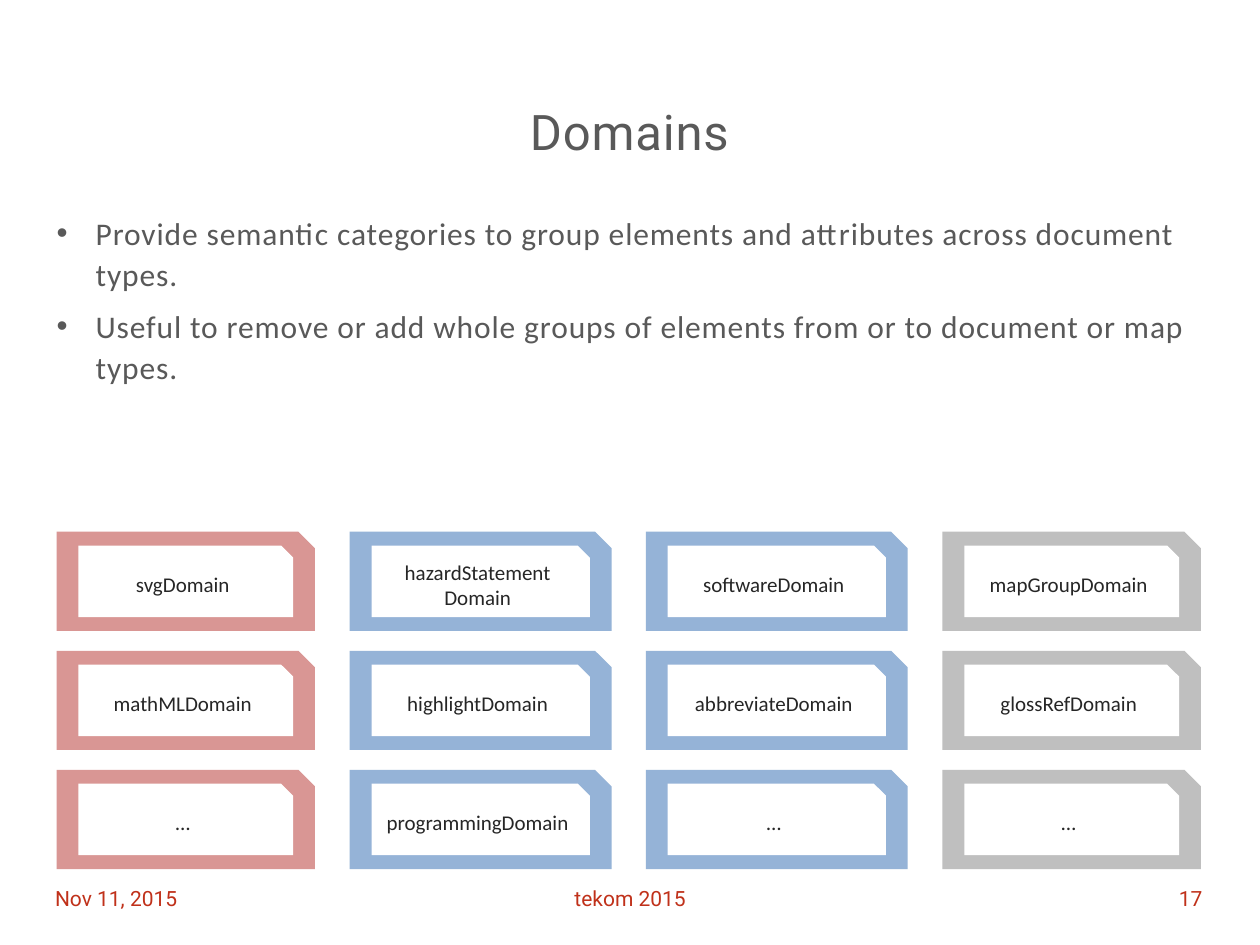
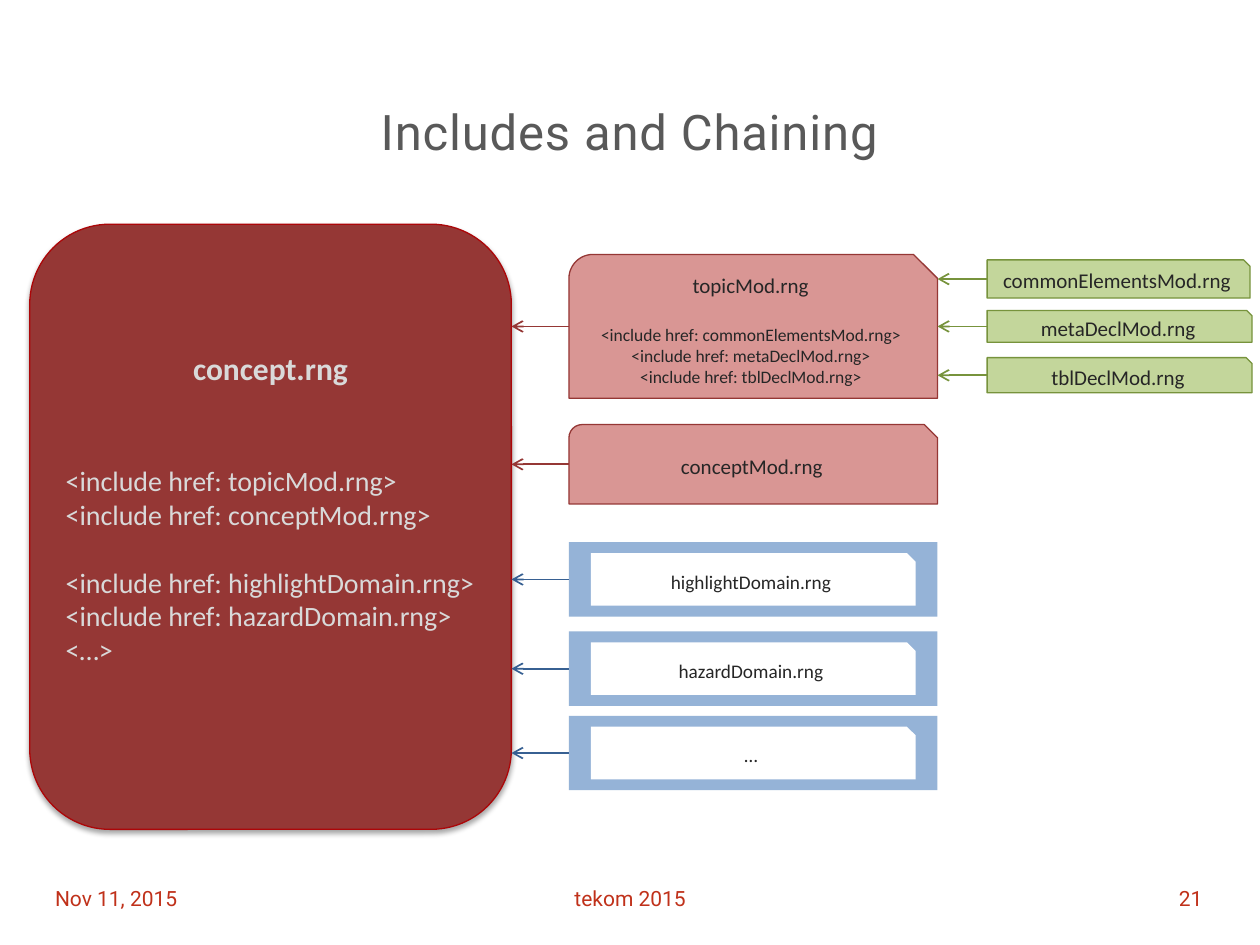
import pptx
import pptx.dml.color
import pptx.enum.shapes
import pptx.enum.text
import pptx.oxml
import pptx.oxml.ns
import pptx.util
from lxml import etree

Cm = pptx.util.Cm
Pt = pptx.util.Pt
SHAPE = pptx.enum.shapes.MSO_SHAPE
ALIGN = pptx.enum.text.PP_ALIGN
ANCHOR = pptx.enum.text.MSO_ANCHOR
qn = pptx.oxml.ns.qn

HEADING_FONT, BODY_FONT = "Roboto", "Calibri"
FOOTER_RED, GREY_TEXT, DARK_TEXT, PALE_TEXT = "C0311A", "595959", "262626", "D9D9D9"
WHITE, GREY, ROSE, BLUE, GREEN = "FFFFFF", "BFBFBF", "D99694", "95B3D7", "C3D69B"
DARK_RED, HUB_LINE, DARK_BLUE, DARK_GREEN = "953735", "AC0608", "376092", "77933C"


def rgb(color):
    return pptx.dml.color.RGBColor.from_string(color)


def write(sp, lines, size, color, font=BODY_FONT, align=ALIGN.CENTER, spacing=None):
    tf = sp.text_frame
    tf.word_wrap = True
    tf.text = "\n".join(lines)
    for p in tf.paragraphs:
        p.alignment = align
        for r in p.runs:
            r.font.name = font
            r.font.size = Pt(size)
            r.font.color.rgb = rgb(color)
            if spacing:
                r._r.get_or_add_rPr().set("spc", str(spacing))
    return tf


def add_text(s, box, lines, *style, **options):
    return write(s.shapes.add_textbox(*map(Cm, box)), lines, *style, **options)


def add_block(s, kind, box, fill, line=None):
    sp = s.shapes.add_shape(kind, *map(Cm, box))
    sp.shadow.inherit = False
    sp.fill.solid()
    sp.fill.fore_color.rgb = rgb(fill)
    if line:
        sp.line.color.rgb = rgb(line)
        sp.line.width = Pt(0.75)
    else:
        sp.line.fill.background()
    sp.text_frame.vertical_anchor = ANCHOR.MIDDLE
    return sp


def add_frame(s, kind, box, fill, label, size, margin):
    x, y, w, h = box
    dx, dy = margin
    outer = add_block(s, kind, box, fill)
    inner = add_block(s, SHAPE.SNIP_1_RECTANGLE,
                      (x + dx, y + dy, w - 2 * dx, h - 2 * dy), WHITE)
    write(inner, [label], size, DARK_TEXT)
    return outer


def add_arrow(s, source, target, color):
    y = source.top + source.height // 2
    edge = target.left + target.width
    cx = s.shapes.add_connector(pptx.enum.shapes.MSO_CONNECTOR.STRAIGHT,
                                source.left, y, edge, y)
    cx.begin_connect(source, 1)
    if abs(y - target.top - target.height // 2) < Cm(0.01):
        cx.end_connect(target, 3)
    cx.line.color.rgb = rgb(color)
    cx.line.width = Pt(1)
    etree.SubElement(cx.line._get_or_add_ln(), qn("a:tailEnd"), type="arrow")
    etree.SubElement(cx._element.spPr, qn("a:effectLst"))


def add_soft_shadow(sp):
    effects = sp._element.spPr.find(qn("a:effectLst"))
    shadow = etree.SubElement(effects, qn("a:outerShdw"), blurRad=str(Pt(3.1)),
                              dist=str(Pt(1.8)), dir="5400000", rotWithShape="0")
    color = etree.SubElement(shadow, qn("a:srgbClr"), val="000000")
    etree.SubElement(color, qn("a:alpha"), val="35000")


def new_slide(prs, title, number):
    s = prs.slides.add_slide(prs.slide_layouts[6])
    add_text(s, (0.89, 1.93, 23.6, 1.19), [title], 28, GREY_TEXT, HEADING_FONT, spacing=50)
    for x, w, text, align in (
        (0.86, 5.92, "Nov 11, 2015", ALIGN.LEFT),
        (8.97, 7.47, "tekom 2015", ALIGN.CENTER),
        (18.57, 5.92, str(number), ALIGN.RIGHT),
    ):
        tf = add_text(s, (x, 17.6, w, 1.02), [text], 12, FOOTER_RED, HEADING_FONT, align)
        tf.vertical_anchor = ANCHOR.MIDDLE
    return s


def add_bullets(s, box, lines):
    tf = add_text(s, box, lines, 18, GREY_TEXT, align=ALIGN.LEFT, spacing=50)
    for i, p in enumerate(tf.paragraphs):
        pPr = p._p.get_or_add_pPr()
        pPr.set("marL", str(Cm(0.79)))
        pPr.set("indent", str(-Cm(0.79)))
        etree.SubElement(pPr, qn("a:buFont"), typeface="Arial")
        etree.SubElement(pPr, qn("a:buChar"), char="•")
        p.line_spacing = Pt(23.6)
        p.space_before = Pt(6 if i else 0)


def add_domain_grid(s, left, top):
    columns = (
        (0, 5.21, ROSE, ("svgDomain", "mathMLDomain", "…")),
        (5.91, 5.28, BLUE, ("hazardStatement\vDomain", "highlightDomain", "programmingDomain")),
        (11.88, 5.28, BLUE, ("softwareDomain", "abbreviateDomain", "…")),
        (17.86, 5.21, GREY, ("mapGroupDomain", "glossRefDomain", "…")),
    )
    for dx, w, fill, labels in columns:
        for row, label in enumerate(labels):
            add_frame(s, SHAPE.SNIP_1_RECTANGLE, (left + dx, top + 2.4 * row, w, 2),
                      fill, label, 12, (0.44, 0.28))


def add_hub(s, box):
    hub = add_block(s, SHAPE.ROUNDED_RECTANGLE, box, DARK_RED, HUB_LINE)
    add_soft_shadow(hub)
    tf = write(hub, [
        "concept.rng",
        "<include href: topicMod.rng>",
        "<include href: conceptMod.rng>",
        "<include href: highlightDomain.rng>",
        "<include href: hazardDomain.rng>",
        "<…>",
    ], 16, PALE_TEXT, align=ALIGN.LEFT)
    tf.margin_bottom = Cm(0.9)
    heading = tf.paragraphs[0]
    heading.alignment = ALIGN.CENTER
    heading.space_after = Pt(44)
    heading.runs[0].font.size = Pt(18)
    heading.runs[0].font.bold = True
    tf.paragraphs[3].space_before = Pt(19.5)
    return hub


def add_modules(s, hub, left, top, width):
    topic = add_block(s, SHAPE.SNIP_ROUND_RECTANGLE, (left, top, width, 2.9), ROSE, DARK_RED)
    tf = write(topic, [
        "topicMod.rng",
        "<include href: commonElementsMod.rng>",
        "<include href: metaDeclMod.rng>",
        "<include href: tblDeclMod.rng>",
    ], 10, DARK_TEXT)
    tf.paragraphs[0].runs[0].font.size = Pt(12)
    tf.paragraphs[1].space_before = Pt(14.6)
    concept = add_block(s, SHAPE.SNIP_ROUND_RECTANGLE,
                        (left, top + 3.43, width, 1.6), ROSE, DARK_RED)
    write(concept, ["conceptMod.rng"], 12, DARK_TEXT)
    for module in (topic, concept):
        add_arrow(s, module, hub, DARK_RED)
    return topic


def add_domains(s, hub, left, top, width):
    for dy, label in ((0, "highlightDomain.rng"), (1.8, "hazardDomain.rng"), (3.5, "…")):
        domain = add_frame(s, SHAPE.RECTANGLE, (left, top + dy, width, 1.5),
                           BLUE, label, 11, (0.44, 0.22))
        add_arrow(s, domain, hub, DARK_BLUE)


def add_declarations(s, topic, left, top):
    for dy, w, h, label in (
        (0, 5.3, 0.77, "commonElementsMod.rng"),
        (1.02, 5.34, 0.64, "metaDeclMod.rng"),
        (1.97, 5.34, 0.71, "tblDeclMod.rng"),
    ):
        sp = add_block(s, SHAPE.SNIP_1_RECTANGLE, (left, top + dy, w, h), GREEN, DARK_GREEN)
        write(sp, [label], 12, DARK_TEXT)
        add_arrow(s, sp, topic, DARK_GREEN)


def build_domains(prs):
    s = new_slide(prs, "Domains", 17)
    add_domain_grid(s, 1.14, 10.72)
    add_bullets(s, (0.89, 4.11, 23.6, 13), [
        "Provide semantic categories to group elements and attributes across document types.",
        "Useful to remove or add whole groups of elements from or to document or map types.",
    ])


def build_includes(prs):
    s = new_slide(prs, "Includes and Chaining", 21)
    hub = add_hub(s, (0.6, 4.52, 9.71, 12.2))
    topic = add_modules(s, hub, 11.47, 5.13, 7.43)
    add_domains(s, hub, 11.47, 10.93, 7.43)
    add_declarations(s, topic, 19.9, 5.24)


def main():
    prs = pptx.Presentation()
    prs.slide_width, prs.slide_height = Cm(25.4), Cm(19.05)
    build_domains(prs)
    build_includes(prs)
    prs.save("out.pptx")


if __name__ == "__main__":
    main()
